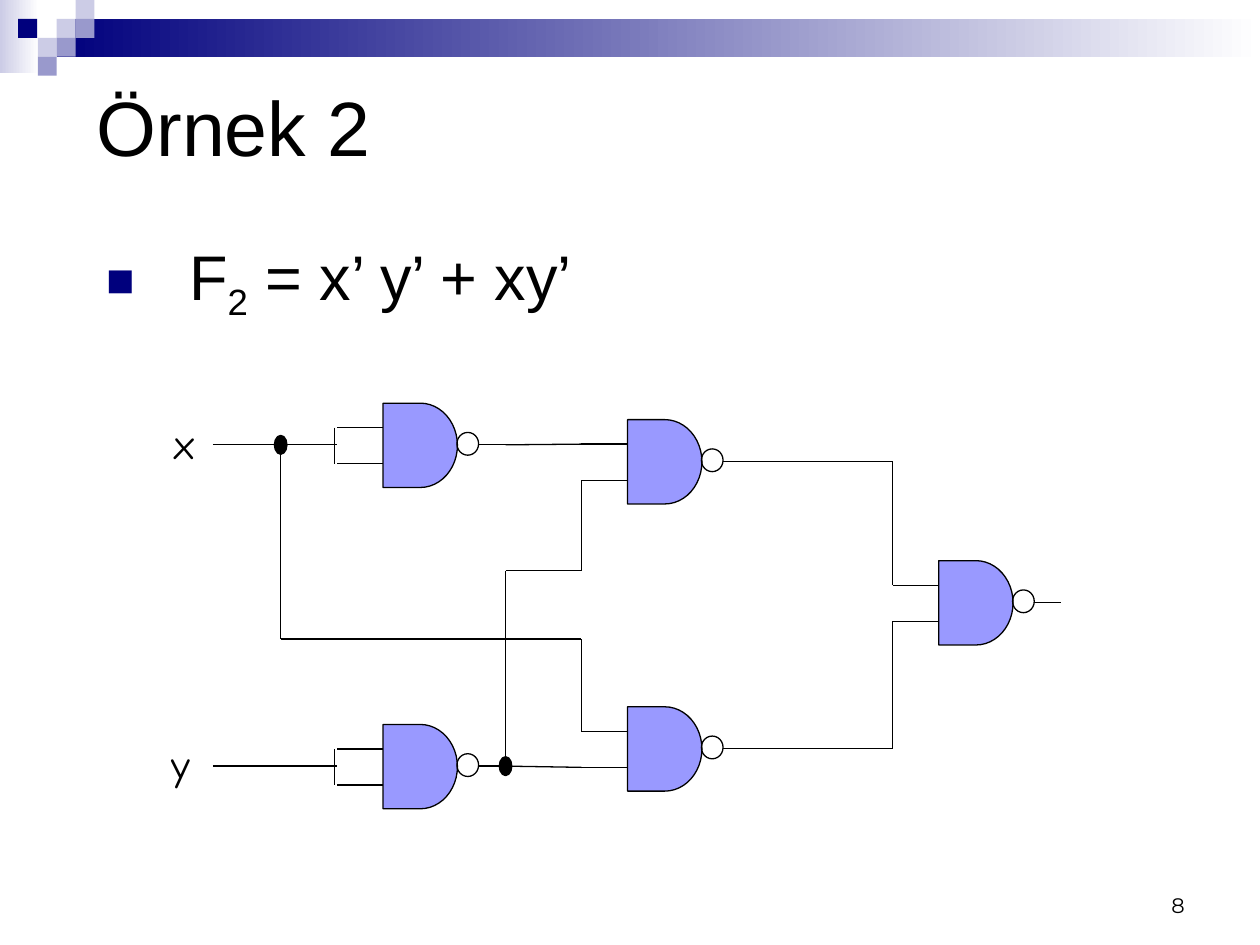
"""Build a slide with a two-level NAND circuit for a Boolean function."""
from lxml.etree import SubElement
from pptx import Presentation
from pptx.dml.color import RGBColor
from pptx.enum.shapes import MSO_CONNECTOR, MSO_SHAPE as Preset
from pptx.enum.text import MSO_ANCHOR as Anchor, MSO_AUTO_SIZE as AutoSize, PP_ALIGN as Align
from pptx.oxml.ns import qn
from pptx.util import Pt

NAVY, LILAC, PALE, GATE = "00007D", "9999CC", "CCCCE6", "9999FF"
BLACK, WHITE = "000000", "FFFFFF"


def color(value):
    return RGBColor.from_string(value)


def apply(target, values):
    for name, value in values.items():
        setattr(target, name, value)


class Board:
    line_width = Pt(0.75)
    gate_size = (42.5, 48.2)
    lead_length = 26.3
    lead_offsets = (14, 34.6)
    output_offset = 23.8

    def __init__(self, slide):
        self.slide = slide
        self.shapes = slide.shapes

    def place(self, shape, left, top, width, height):
        apply(shape, {"left": Pt(left), "top": Pt(top), "width": Pt(width), "height": Pt(height)})

    def fill_text(self, frame, runs, size, font="Arial", align=Align.LEFT, **frame_values):
        apply(frame, frame_values)
        paragraph = frame.paragraphs[0]
        paragraph.alignment = align
        for text, baseline in runs:
            run = paragraph.add_run()
            run.text = text
            apply(run.font, {"name": font, "size": Pt(size)})
            run.font.color.rgb = color(BLACK)
            if baseline:
                run._r.get_or_add_rPr().set("baseline", str(baseline))
        return paragraph

    def title(self, text, *box):
        self.place(self.shapes.title, *box)
        self.fill_text(self.shapes.title.text_frame, [(text, 0)], 44, vertical_anchor=Anchor.MIDDLE)

    def text(self, runs, box, size, **values):
        shape = self.shapes.add_textbox(*map(Pt, box))
        return self.fill_text(shape.text_frame, runs, size, **values)

    def bullet(self, runs, box, size, indent):
        paragraph = self.text(runs, box, size, word_wrap=True)
        paragraph.space_before = Pt(size * 0.2)
        properties = paragraph._p.get_or_add_pPr()
        properties.set("marL", str(Pt(indent)))
        properties.set("indent", str(-Pt(indent)))
        bullet_color = SubElement(properties, qn("a:buClr"))
        SubElement(bullet_color, qn("a:srgbClr"), val=NAVY)
        SubElement(properties, qn("a:buSzPct"), val="75000")
        SubElement(properties, qn("a:buFont"), typeface="Arial")
        SubElement(properties, qn("a:buChar"), char="■")

    def shape(self, preset, left, top, width, height, fill=None, outlined=True):
        shape = self.shapes.add_shape(preset, Pt(left), Pt(top), Pt(width), Pt(height))
        shape.shadow.inherit = False
        if fill:
            shape.fill.solid()
            shape.fill.fore_color.rgb = color(fill)
        else:
            shape.fill.background()
        if outlined:
            shape.line.color.rgb = color(BLACK)
            shape.line.width = self.line_width
        else:
            shape.line.fill.background()
        return shape

    def fade(self, box, start):
        shape = self.shape(Preset.RECTANGLE, *box, outlined=False)
        shape.fill.gradient()
        shape.fill.gradient_angle = 0
        for stop, value in zip(shape.fill.gradient_stops, (start, WHITE)):
            stop.color.rgb = color(value)

    def wire(self, *points):
        for start, end in zip(points, points[1:]):
            line = self.shapes.add_connector(MSO_CONNECTOR.STRAIGHT, *map(Pt, start + end))
            line.line.color.rgb = color(BLACK)
            line.line.width = self.line_width
            SubElement(line._element.spPr, qn("a:effectLst"))

    def dot(self, x, y):
        self.shape(Preset.OVAL, x - 3.6, y - 5.4, 7.2, 10.8, BLACK)

    def nand(self, left, top):
        """Draw a gate and return its two input ends and its output end."""
        width, height = self.gate_size
        self.shape(Preset.FLOWCHART_DELAY, left, top, width, height, GATE)
        inputs = [(left - self.lead_length, top + offset) for offset in self.lead_offsets]
        for x, y in inputs:
            self.wire((x, y), (left, y))
        middle = top + self.output_offset
        output = (left + 70, middle)
        self.wire((left + 54.7, middle), output)
        self.shape(Preset.OVAL, left + 42.2, top + 16.7, 12.4, 13)
        return *inputs, output

    def inverter(self, name, label_left, left, top):
        """Draw a gate with joined inputs and a named input wire."""
        upper, lower, output = self.nand(left, top)
        joint = upper[0] - 1.4
        self.wire((joint, upper[1]), (joint, lower[1]))
        self.wire((121.7, output[1]), (upper[0], output[1]))
        self.text([(name, 0)], (label_left, top + 4.6, 28, 36), 24, font="Comic Neue",
                  word_wrap=False, auto_size=AutoSize.SHAPE_TO_FIT_TEXT)
        return output


def main():
    presentation = Presentation()
    apply(presentation, {"slide_width": Pt(720), "slide_height": Pt(540)})
    board = Board(presentation.slides.add_slide(presentation.slide_layouts[5]))

    board.fade((0, 0, 22.3, 41.8), PALE)
    board.fade((32.4, 10.8, 687.6, 21.6), NAVY)
    tile = 10.8
    for left, row, fill in [(32.4, 1, PALE), (43.2, 0, PALE), (43.2, 1, LILAC), (21.6, 2, PALE),
                            (10.4, 1, NAVY), (32.4, 2, LILAC), (21.6, 3, LILAC)]:
        board.shape(Preset.RECTANGLE, left, row * tile, tile, tile, fill, outlined=False)

    board.title("Örnek 2", 48, 30, 648, 84)
    board.bullet([("F", 0), ("2", -25000), (" = x’ y’ + xy’", 0)], (54, 132, 534, 55.4), 36, 47)
    board.text([("8", 0)], (516, 492, 168, 36), 12, font="Montserrat", align=Align.RIGHT,
               word_wrap=True, vertical_anchor=Anchor.BOTTOM)

    not_x = board.inverter("x", 92.9, 218.9, 230.4)
    not_y = board.inverter("y", 90.7, 218.9, 414)
    upper_first, upper_second, upper_output = board.nand(358.6, 239.8)
    lower_first, lower_second, lower_output = board.nand(358.6, 403.9)
    final_first, final_second, _ = board.nand(536.4, 320.4)

    x_branch = (160.4, not_x[1])
    x_level, y_level = 365.2, 326.2
    board.wire(not_x, upper_first)
    board.wire(not_y, (not_y[0], y_level), (upper_second[0], y_level), upper_second)
    board.wire(not_y, lower_second)
    board.wire(x_branch, (x_branch[0], x_level), (lower_first[0], x_level), lower_first)
    board.wire(upper_output, (final_first[0], upper_output[1]), final_first)
    board.wire(lower_output, (final_second[0], lower_output[1]), final_second)
    board.dot(*x_branch)
    board.dot(*not_y)
    presentation.save("out.pptx")


if __name__ == "__main__":
    main()
